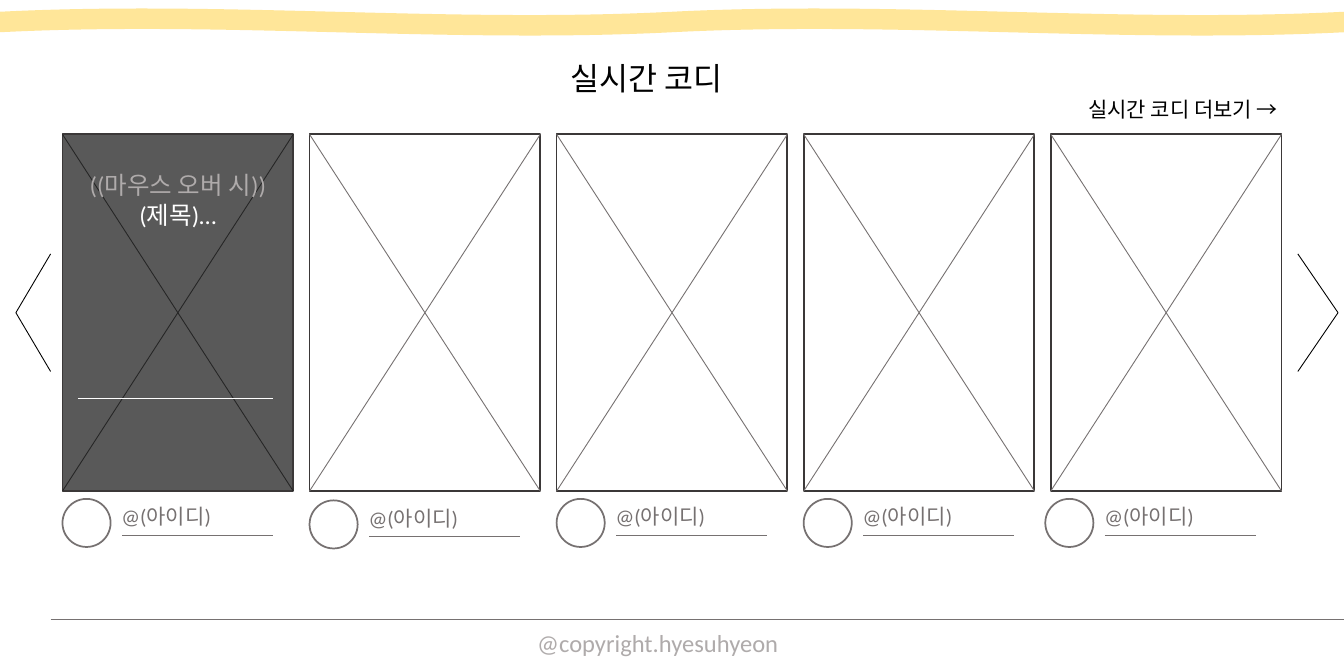
from lxml import etree
from pptx import Presentation
from pptx.dml.color import RGBColor
from pptx.enum.shapes import MSO_CONNECTOR, MSO_SHAPE
from pptx.enum.text import MSO_ANCHOR, MSO_AUTO_SIZE, PP_ALIGN
from pptx.oxml.ns import qn
from pptx.util import Cm, Pt

STRAIGHT = MSO_CONNECTOR.STRAIGHT
RECTANGLE = MSO_SHAPE.RECTANGLE
OVAL = MSO_SHAPE.OVAL
DOUBLE_WAVE = MSO_SHAPE.DOUBLE_WAVE
TOP = MSO_ANCHOR.TOP
GROW = MSO_AUTO_SIZE.SHAPE_TO_FIT_TEXT
LEFT, CENTER, RIGHT = PP_ALIGN.LEFT, PP_ALIGN.CENTER, PP_ALIGN.RIGHT

TITLE_ONLY = 5
SLIDE_WIDTH, SLIDE_HEIGHT = 27.09, 13.55
FONT = "Calibri"
BLACK, WHITE = "000000", "FFFFFF"
GRAY, PALE_GRAY, FRAME = "767171", "AFABAB", "3B3838"
HOVER_FILL, HOVER_CROSS, YELLOW = "595959", "262626", "FFE699"

CARD_LEFT, CARD_TOP, CARD_PITCH = 1.26, 2.71, 4.98
CARD_WIDTH, CARD_HEIGHT = 4.65, 7.19
PROFILE_TOP = 10.06
PROFILE_OFFSETS = ((0, 0), (0, 0.03), (0, 0), (0, 0), (-0.11, 0))


def color(value):
    return RGBColor.from_string(value)


def add_line(slide, start, end, stroke):
    line = slide.shapes.add_connector(STRAIGHT, *map(Cm, start + end))
    line.line.color.rgb = color(stroke)
    line.line.width = Pt(0.5)
    etree.SubElement(line._element.spPr, qn("a:effectLst"))


def add_outline(slide, preset, box, fill=None, stroke=None):
    outline = slide.shapes.add_shape(preset, *map(Cm, box))
    outline.shadow.inherit = False
    if fill:
        outline.fill.solid()
        outline.fill.fore_color.rgb = color(fill)
    else:
        outline.fill.background()
    if stroke:
        outline.line.color.rgb = color(stroke)
        outline.line.width = Pt(1)
    else:
        outline.line.fill.background()
    return outline


def fill_text(frame, entries, size, align, wrap=True):
    frame.word_wrap = wrap
    frame.auto_size = GROW
    frame.vertical_anchor = TOP
    frame.text = "\n".join(words for words, _ in entries)
    for paragraph, (_, ink) in zip(frame.paragraphs, entries):
        paragraph.alignment = align
        font = paragraph.runs[0].font
        font.name = FONT
        font.size = Pt(size)
        font.color.rgb = color(ink)


def add_text(slide, box, entries, size, align):
    label = slide.shapes.add_textbox(*map(Cm, box))
    fill_text(label.text_frame, entries, size, align)


def add_header(slide, left, top, width):
    title = slide.shapes.title
    title.left, title.top = Cm(left + 11.25), Cm(top + 1.07)
    title.width, title.height = Cm(4.01), Cm(1.02)
    fill_text(title.text_frame, [("실시간 코디", BLACK)], 18, LEFT, wrap=False)
    add_text(slide, (left + 21.03, top + 1.83, 4.98, 0.76),
             [("실시간 코디 더보기 →", BLACK)], 12, RIGHT)
    wave = add_outline(slide, DOUBLE_WAVE, (left, top + 0.17, width, 0.55), YELLOW)
    wave.adjustments[0] = 0.125


def add_card(slide, left, top, width, height, fill=None, cross=GRAY):
    right, bottom = left + width, top + height
    add_outline(slide, RECTANGLE, (left, top, width, height), fill, FRAME)
    add_line(slide, (left, top), (right, bottom), cross)
    add_line(slide, (right, top), (left, bottom), cross)


def add_hover_card(slide, left, top, width, height):
    add_card(slide, left, top, width, height, HOVER_FILL, HOVER_CROSS)
    add_text(slide, (left, top + 0.6, width, 1.45),
             [("((마우스 오버 시))", PALE_GRAY), ("(제목)…", WHITE)], 14, CENTER)
    rule = top + 5.32
    add_line(slide, (left + 0.31, rule), (left + 4.24, rule), WHITE)


def add_profile(slide, left, top):
    add_outline(slide, OVAL, (left, top, 0.97, 0.97), stroke=GRAY)
    add_line(slide, (left + 1.2, top + 0.73), (left + 4.24, top + 0.73), GRAY)
    add_text(slide, (left + 0.94, top - 0.03, 2.54, 0.76),
             [("@(아이디)", GRAY)], 12, LEFT)


def add_chevron(slide, base, tip, top, height):
    point = (tip, top + height / 2)
    add_line(slide, (base, top), point, BLACK)
    add_line(slide, point, (base, top + height), BLACK)


def add_gallery(slide, left, top, width, height):
    for index, (shift, drop) in enumerate(PROFILE_OFFSETS):
        card_left = left + index * CARD_PITCH
        draw_card = add_card if index else add_hover_card
        draw_card(slide, card_left, top, width, height)
        add_profile(slide, card_left + shift, PROFILE_TOP + drop)
    add_chevron(slide, 1.02, 0.32, top + 2.41, 2.37)
    add_chevron(slide, 26.16, 26.97, top + 2.41, 2.37)


def add_footer(slide, left, top, right):
    add_line(slide, (left, top), (right, top), GRAY)
    add_text(slide, (left + 8.81, top + 0.03, 6.86, 0.86),
             [("@copyright.hyesuhyeon", PALE_GRAY)], 14, CENTER)


def main():
    deck = Presentation()
    deck.slide_width, deck.slide_height = Cm(SLIDE_WIDTH), Cm(SLIDE_HEIGHT)
    slide = deck.slides.add_slide(deck.slide_layouts[TITLE_ONLY])
    add_header(slide, 0, 0, SLIDE_WIDTH)
    add_gallery(slide, CARD_LEFT, CARD_TOP, CARD_WIDTH, CARD_HEIGHT)
    add_footer(slide, 1.02, 12.5, SLIDE_WIDTH)
    deck.save("out.pptx")


if __name__ == "__main__":
    main()
